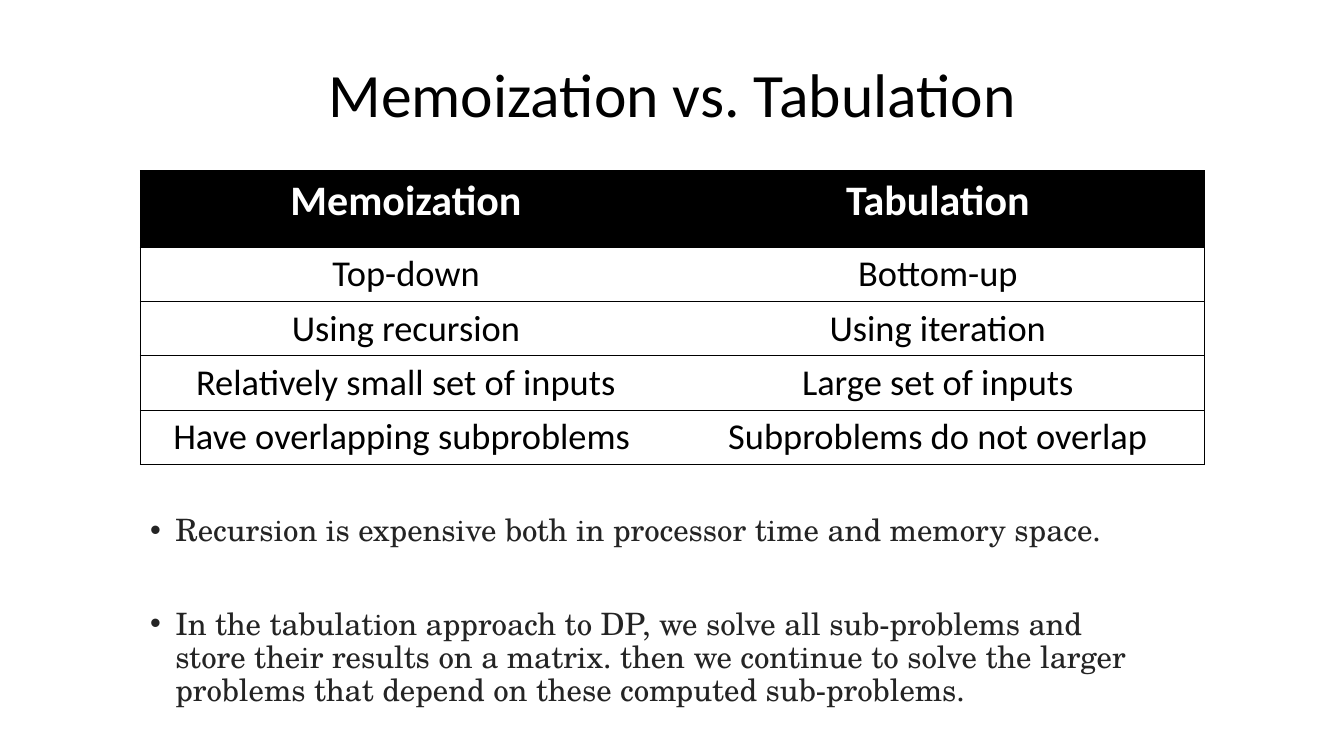
from lxml import etree
from pptx import Presentation
from pptx import util as u
from pptx.dml.color import RGBColor
from pptx.enum import text
from pptx.oxml import ns

# Content
HEADING = "Memoization vs. Tabulation"
COMPARISON = [
    ("Memoization", "Tabulation"),
    ("Top-down", "Bottom-up"),
    ("Using recursion", "Using iteration"),
    ("Relatively small set of inputs", "Large set of inputs"),
    ("Have overlapping subproblems ", "Subproblems do not overlap"),
]
REMARKS = [
    "Recursion is expensive both in processor time and memory space.",
    "In the tabulation approach to DP, we solve all sub-problems and store "
    "their results on a matrix. then we continue to solve the larger problems "
    "that depend on these computed sub-problems.",
]
COLORS = {"ink": "000000", "paper": "FFFFFF", "remark": "242424"}
SANS, SERIF = "Calibri", "TeX Gyre Schola"
HEADER_HEIGHT, ROW_HEIGHT = 0.76, 0.54
REMARK_GAP = 43


def style(paragraph, size, font, color, bold=False):
    for run in paragraph.runs:
        run.font.size = u.Pt(size)
        run.font.name = font
        run.font.bold = bold
        run.font.color.rgb = RGBColor.from_string(COLORS[color])


def add_text_frame(slide, left, top, width, height):
    frame = slide.shapes.add_textbox(*map(u.Inches, (left, top, width, height))).text_frame
    frame.word_wrap = True
    return frame


def add_borders(cell, visible):
    properties = cell._tc.get_or_add_tcPr()
    for side in "LRTB":
        line = etree.SubElement(properties, ns.qn(f"a:ln{side}"), w=str(u.Pt(0.5)))
        if side in visible:
            fill = etree.SubElement(line, ns.qn("a:solidFill"))
            etree.SubElement(fill, ns.qn("a:srgbClr"), val=COLORS["ink"])
        else:
            etree.SubElement(line, ns.qn("a:noFill"))


def add_bullet(paragraph):
    properties = paragraph._p.get_or_add_pPr()
    properties.set("marL", str(u.Inches(0.25)))
    properties.set("indent", str(u.Inches(-0.25)))
    etree.SubElement(properties, ns.qn("a:buFont"), typeface="Arial")
    etree.SubElement(properties, ns.qn("a:buChar"), char="•")


def main():
    deck = Presentation()
    deck.slide_width, deck.slide_height = u.Inches(13.33), u.Inches(7.5)
    slide = deck.slides.add_slide(deck.slide_layouts[6])

    # Heading
    heading = add_text_frame(slide, 0.92, 0.24, 11.5, 1.45)
    heading.vertical_anchor = text.MSO_ANCHOR.MIDDLE
    heading.text = HEADING
    heading.paragraphs[0].alignment = text.PP_ALIGN.CENTER
    heading.paragraphs[0].line_spacing = 0.9
    style(heading.paragraphs[0], 44, SANS, "ink")

    # Comparison table: outer frame and row rules, no inner vertical line
    height = HEADER_HEIGHT + ROW_HEIGHT * (len(COMPARISON) - 1)
    comparison = slide.shapes.add_table(
        len(COMPARISON), 2, *map(u.Inches, (1.39, 1.69, 10.55, height))).table
    for r, labels in enumerate(COMPARISON):
        header = r == 0
        comparison.rows[r].height = u.Inches(HEADER_HEIGHT if header else ROW_HEIGHT)
        for c, label in enumerate(labels):
            cell = comparison.cell(r, c)
            add_borders(cell, "LTB" if c == 0 else "RTB")
            cell.fill.solid()
            cell.fill.fore_color.rgb = RGBColor.from_string(COLORS["ink" if header else "paper"])
            cell.text_frame.text = label
            paragraph = cell.text_frame.paragraphs[0]
            paragraph.alignment = text.PP_ALIGN.CENTER
            style(paragraph, 30 if header else 26, SANS, "paper" if header else "ink", header)

    # Remarks
    remarks = add_text_frame(slide, 1.39, 5.06, 9.93, 1.67)
    remarks.text = "\n".join(REMARKS)
    for i, paragraph in enumerate(remarks.paragraphs):
        paragraph.line_spacing = 0.9
        paragraph.space_before = u.Pt(REMARK_GAP if i else 0)
        add_bullet(paragraph)
        style(paragraph, 22, SERIF, "remark")

    deck.save("out.pptx")


if __name__ == "__main__":
    main()
